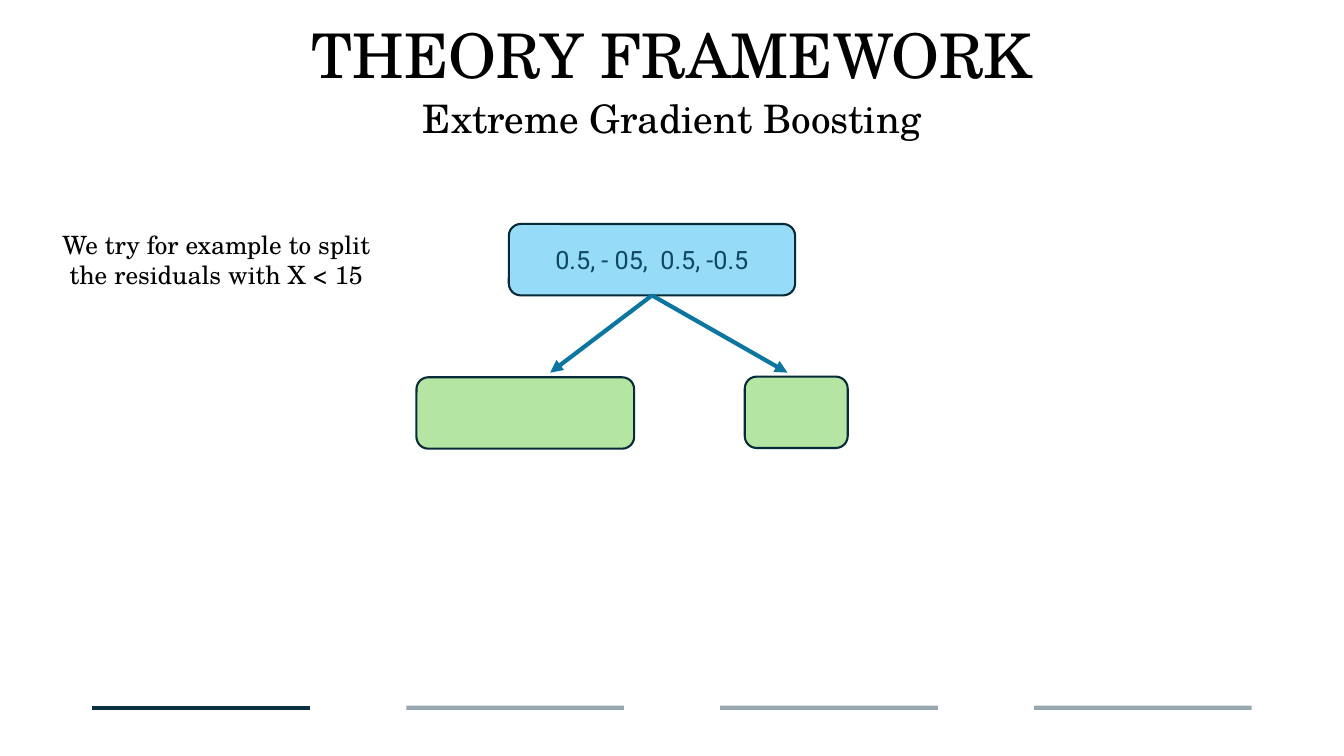
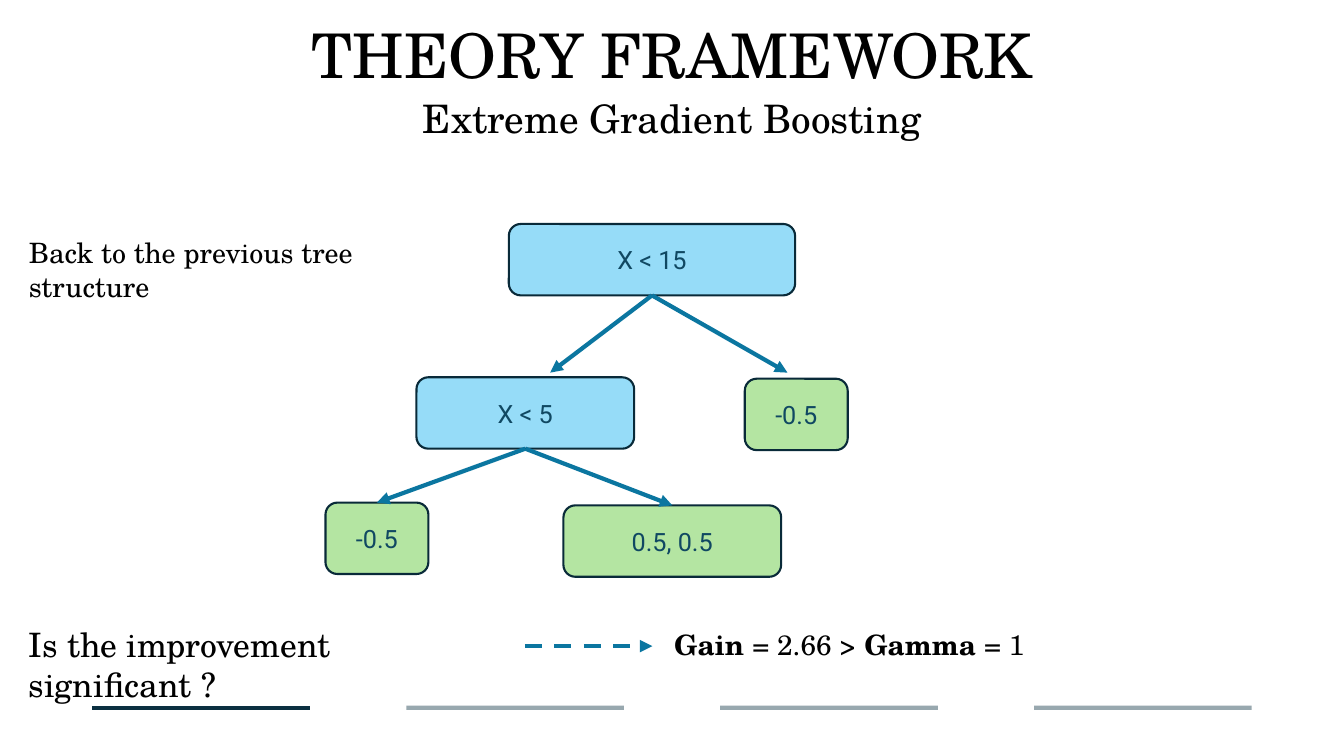
from lxml.etree import SubElement
from pptx import Presentation
from pptx.dml.color import RGBColor
from pptx.enum.dml import MSO_LINE
from pptx.enum.shapes import MSO_CONNECTOR, MSO_SHAPE
from pptx.enum.text import MSO_ANCHOR, PP_ALIGN
from pptx.oxml.ns import qn
from pptx.util import Pt

COLORS = {
    "text": "000000",
    "bar": "0B3041",
    "arrow": "0B76A0",
    "outline": "092A39",
    "split": "96DCF8",
    "leaf": "B4E5A2",
    "node_text": "104862",
}
SERIF, SANS = "TeX Gyre Schola", "Roboto"
NODE_H, WIDE, NARROW = 51, 155.5, 73.5
TOP, BOTTOM = 0, 2


def rgb(name):
    return RGBColor.from_string(COLORS[name])


def write(tf, text, size=18, font=SERIF, color="text",
          align=PP_ALIGN.LEFT, anchor=MSO_ANCHOR.TOP, spacing=None):
    """Fill a text frame; text is a string or a list of (string, bold) runs."""
    tf.word_wrap = True
    tf.vertical_anchor = anchor
    p = tf.paragraphs[0]
    p.alignment = align
    if spacing:
        p.line_spacing = spacing
    for part, bold in [(text, False)] if isinstance(text, str) else text:
        r = p.add_run()
        r.text = part
        r.font.name, r.font.size, r.font.bold = font, Pt(size), bold
        r.font.color.rgb = rgb(color)


class Deck:
    def __init__(self):
        self.prs = Presentation()
        self.prs.slide_width, self.prs.slide_height = Pt(960), Pt(540)
        self.s = None

    def slide(self):
        """Start a slide with the shared title, subtitle and footer bars."""
        self.s = self.prs.slides.add_slide(self.prs.slide_layouts[6])
        self.text("THEORY FRAMEWORK", 66, -10, 828, 104, size=44,
                  align=PP_ALIGN.CENTER, anchor=MSO_ANCHOR.MIDDLE, spacing=0.9)
        self.text("Extreme Gradient Boosting", 140, 63.5, 680, 41, size=28,
                  align=PP_ALIGN.CENTER)
        for i in range(4):
            x = 66 + 224.2 * i
            self.line((x, 505.5), (x + WIDE, 505.5), "bar",
                      opacity=41 if i else None)

    def text(self, text, x, y, w, h, **style):
        box = self.s.shapes.add_textbox(Pt(x), Pt(y), Pt(w), Pt(h))
        write(box.text_frame, text, **style)

    def node(self, x, y, w, fill, text=""):
        sp = self.s.shapes.add_shape(MSO_SHAPE.ROUNDED_RECTANGLE,
                                     Pt(x), Pt(y), Pt(w), Pt(NODE_H))
        sp.shadow.inherit = False
        sp.fill.solid()
        sp.fill.fore_color.rgb = rgb(fill)
        sp.line.color.rgb = rgb("outline")
        sp.line.width = Pt(1.5)
        if text:
            write(sp.text_frame, text, font=SANS, color="node_text",
                  align=PP_ALIGN.CENTER, anchor=MSO_ANCHOR.MIDDLE)
        return sp

    def line(self, start, end, color, opacity=None, dash=None, arrow=False):
        c = self.s.shapes.add_connector(MSO_CONNECTOR.STRAIGHT,
                                        *map(Pt, (*start, *end)))
        c.line.color.rgb = rgb(color)
        c.line.width = Pt(3)
        if dash:
            c.line.dash_style = dash
        spPr = c._element.spPr
        ln = spPr.find(qn("a:ln"))
        if opacity:
            clr = ln.find(".//" + qn("a:srgbClr"))
            SubElement(clr, qn("a:alpha"), val=str(opacity * 1000))
        if arrow:
            SubElement(ln, qn("a:tailEnd"), type="triangle")
        SubElement(spPr, qn("a:effectLst"))
        return c

    def branch(self, parent, child=None, end=(0, 0)):
        """Arrow from under the parent to the child's top or to a free point."""
        c = self.line((0, 0), end, "arrow", arrow=True)
        c.begin_connect(parent, BOTTOM)
        if child is not None:
            c.end_connect(child, TOP)

    def root(self, text):
        """Top node with its two arrows."""
        root = self.node(363.5, 160, 204.5, "split", text)
        for x in (393, 562.5):
            self.branch(root, end=(x, 266.2))


def main():
    deck = Deck()

    deck.slide()
    deck.root("0.5, - 05,  0.5, -0.5")
    deck.node(297.5, 269.5, WIDE, "leaf")
    deck.node(532, 269, NARROW, "leaf")
    deck.text("We try for example to split the residuals with X < 15",
              36, 160, 237, 51, align=PP_ALIGN.CENTER)

    deck.slide()
    deck.root("X < 15")
    deck.node(532, 270.5, NARROW, "leaf", "-0.5")
    inner = deck.node(297.5, 269.5, WIDE, "split", "X < 5")
    for x, y, w, text in ((402.5, 361, WIDE, "0.5, 0.5"),
                          (232.5, 359, NARROW, "-0.5")):
        deck.branch(inner, deck.node(x, y, w, "leaf", text))
    deck.text("Back to the previous tree structure", 13.5, 165, 330, 32, size=20)
    deck.text("Is the improvement significant ?", 13.5, 442, 361, 36, size=24)
    deck.line((375, 461.5), (466, 461.5), "arrow", dash=MSO_LINE.DASH, arrow=True)
    deck.text([("Gain ", True), ("= 2.66 > ", False),
               ("Gamma ", True), ("= 1", False)], 474.5, 444.5, 346, 32, size=20)

    deck.prs.save("out.pptx")


if __name__ == "__main__":
    main()
